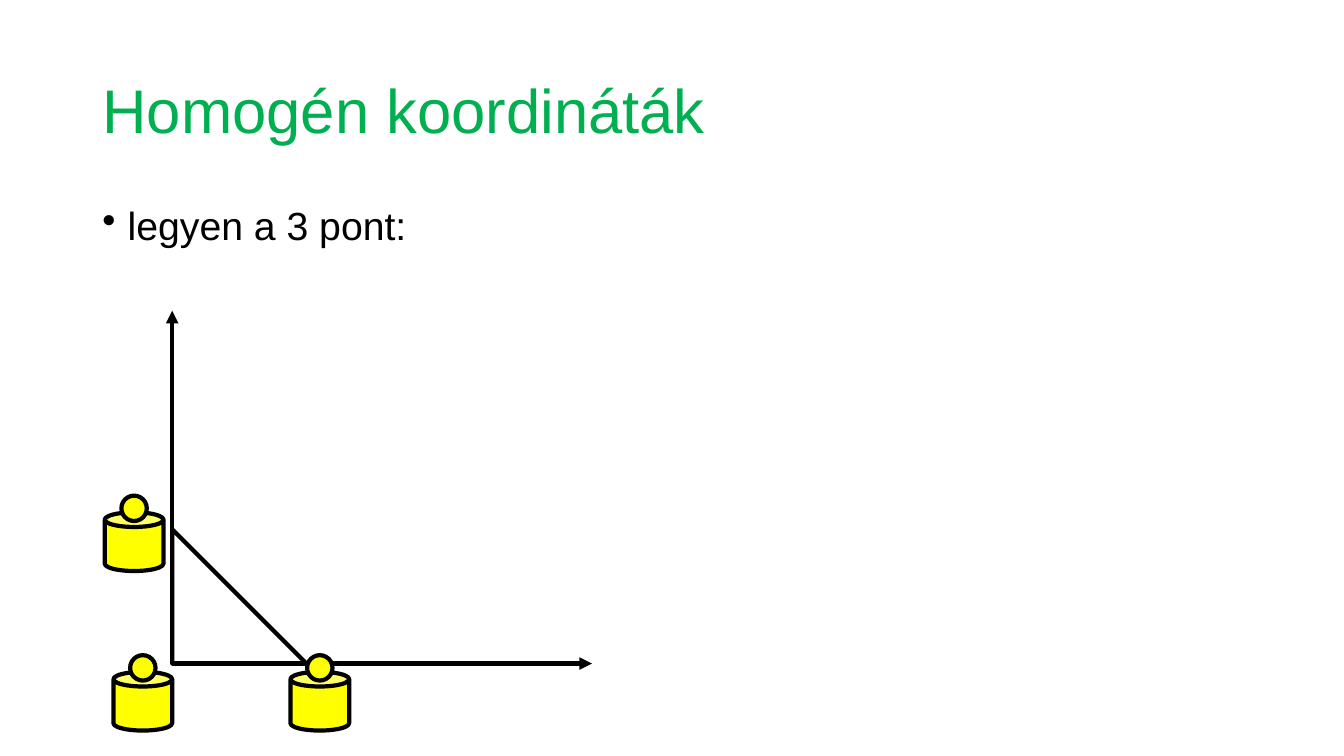
from typing import NamedTuple

from pptx import Presentation
from pptx.dml.color import RGBColor
from pptx.enum.shapes import MSO_CONNECTOR, MSO_SHAPE
from pptx.enum.text import MSO_ANCHOR
from pptx.oxml.ns import qn
from pptx.util import Cm, Pt

GREEN = RGBColor(0x00, 0xB0, 0x50)
BLACK = RGBColor(0x00, 0x00, 0x00)
YELLOW = RGBColor(0xFF, 0xFF, 0x00)
CAN = MSO_SHAPE.CAN
BALL = MSO_SHAPE.OVAL
LINE = MSO_CONNECTOR.STRAIGHT
TOP = MSO_ANCHOR.TOP
MIDDLE = MSO_ANCHOR.MIDDLE

WIDTH = Pt(3)
CAN_SIZE = 1.48
BALL_SIZE = 0.64
LEG = 3.38  # short sides of the triangle


class Point(NamedTuple):
    x: float
    y: float


class Label(NamedTuple):
    text: str
    top: float
    height: float
    size: int
    color: RGBColor
    anchor: MSO_ANCHOR


ORIGIN = Point(4.34, 16.72)
TIPS = [Point(ORIGIN.x, 7.83), Point(14.92, ORIGIN.y)]
PAWNS = [Point(7.32, 16.51), Point(2.64, 12.49), Point(2.86, 16.51)]
TITLE = Label("Homogén koordináták", 1.01, 3.68, 44, GREEN, MIDDLE)
BODY = Label("legyen a 3 pont:", 5.08, 12.09, 28, BLACK, TOP)


def add_label(slide, label: Label):
    box = slide.shapes.add_textbox(
        Cm(2.33), Cm(label.top), Cm(29.21), Cm(label.height))
    frame = box.text_frame
    frame.word_wrap = True
    frame.vertical_anchor = label.anchor
    frame.text = label.text
    para = frame.paragraphs[0]
    para.line_spacing = 0.9
    font = para.runs[0].font
    font.name = "Arial"
    font.size = Pt(label.size)
    font.color.rgb = label.color
    return para


def add_bullet(para) -> None:
    props = para._p.get_or_add_pPr()
    props.set("marL", str(Cm(0.64)))
    props.set("indent", str(-Cm(0.64)))
    mark = props.makeelement(qn("a:buChar"), {"char": "•"})
    props.append(mark)


def set_line(shape) -> None:
    shape.line.color.rgb = BLACK
    shape.line.width = WIDTH


def add_axis(slide, tip: Point) -> None:
    axis = slide.shapes.add_connector(
        LINE, Cm(ORIGIN.x), Cm(ORIGIN.y), Cm(tip.x), Cm(tip.y))
    set_line(axis)
    line = axis.line._get_or_add_ln()
    line.append(line.makeelement(qn("a:tailEnd"), {"type": "triangle"}))
    props = axis._element.spPr
    props.append(props.makeelement(qn("a:effectLst"), {}))


def add_triangle(slide) -> None:
    path = slide.shapes.build_freeform(Cm(ORIGIN.x), Cm(ORIGIN.y))
    path.add_line_segments([
        (Cm(ORIGIN.x + LEG), Cm(ORIGIN.y)),
        (Cm(ORIGIN.x), Cm(ORIGIN.y - LEG)),
    ], close=True)
    shape = path.convert_to_shape()
    shape.shadow.inherit = False
    shape.fill.background()
    set_line(shape)


def add_pawn(slide, place: Point) -> None:
    group = slide.shapes.add_group_shape()
    inset = (CAN_SIZE - BALL_SIZE) / 2
    parts = [(CAN, 0, inset, CAN_SIZE), (BALL, inset, 0, BALL_SIZE)]
    for kind, dx, dy, size in parts:
        part = group.shapes.add_shape(
            kind, Cm(place.x + dx), Cm(place.y + dy), Cm(size), Cm(size))
        part.shadow.inherit = False
        part.fill.solid()
        part.fill.fore_color.rgb = YELLOW
        set_line(part)


def main() -> None:
    deck = Presentation()
    deck.slide_width, deck.slide_height = Cm(33.87), Cm(19.05)
    slide = deck.slides.add_slide(deck.slide_layouts[6])

    # Title and bullet
    add_label(slide, TITLE)
    add_bullet(add_label(slide, BODY))

    # Axes and triangle
    for tip in TIPS:
        add_axis(slide, tip)
    add_triangle(slide)

    # Pawns at the three corners
    for place in PAWNS:
        add_pawn(slide, place)

    deck.save("out.pptx")


if __name__ == "__main__":
    main()
